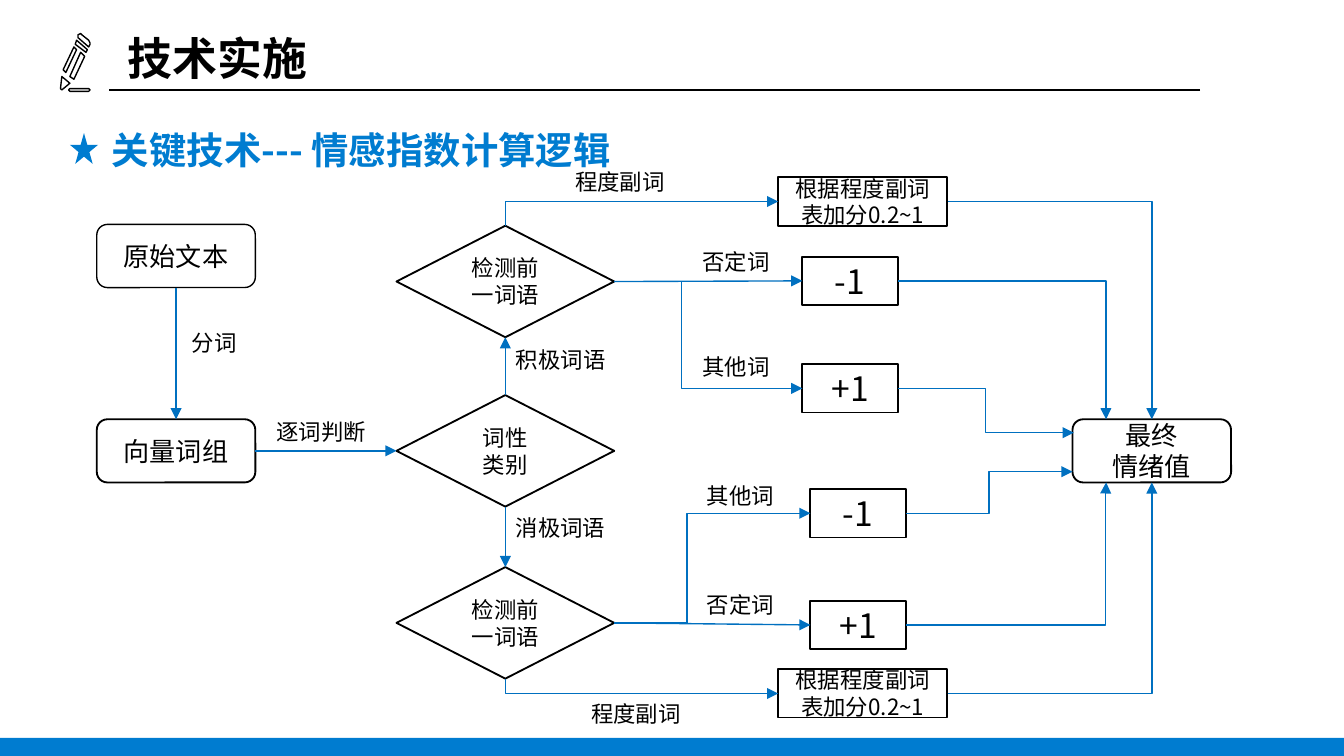
"""Build the flowchart slide on the sentiment index calculation."""
from lxml import etree
from pptx import Presentation
from pptx.dml.color import RGBColor
from pptx.enum.shapes import MSO_CONNECTOR, MSO_SHAPE
from pptx.enum.text import MSO_ANCHOR, MSO_AUTO_SIZE, PP_ALIGN
from pptx.oxml.ns import qn
from pptx.util import Inches, Pt

RECT, ROUND = MSO_SHAPE.RECTANGLE, MSO_SHAPE.ROUNDED_RECTANGLE
DECISION, STAR = MSO_SHAPE.FLOWCHART_DECISION, MSO_SHAPE.STAR_5_POINT
STRAIGHT, ELBOW = MSO_CONNECTOR.STRAIGHT, MSO_CONNECTOR.ELBOW
LEFT, CENTER = PP_ALIGN.LEFT, PP_ALIGN.CENTER
TOP_ANCHOR, MIDDLE = MSO_ANCHOR.TOP, MSO_ANCHOR.MIDDLE
FIT, NO_FIT = MSO_AUTO_SIZE.SHAPE_TO_FIT_TEXT, MSO_AUTO_SIZE.NONE

FONT = "Noto Sans CJK SC"
BLACK, WHITE, BLUE, ARROW = "000000", "FFFFFF", "007CD0", "0070C0"
WIDTH = 10
HEIGHT = WIDTH * 9 / 16
TOP, LEFT_SIDE, BOTTOM, RIGHT = range(4)

KINDS = {
    "source": dict(preset=ROUND, size=(1.18, 0.47), fill=None, points=14, weight=0.75),
    "state": dict(preset=ROUND, size=(1.18, 0.47), fill=None, points=14, weight=1),
    "check": dict(preset=DECISION, size=(1.62, 0.83), fill=WHITE, points=12, weight=1),
    "score": dict(preset=RECT, size=(0.71, 0.36), fill=WHITE, points=18, weight=1),
    "degree": dict(preset=RECT, size=(1.26, 0.36), fill=WHITE, points=12, weight=1),
}
COLUMNS = {"input": 0.72, "check": 2.95, "degree": 5.79, "upper": 5.97,
           "lower": 6.03, "result": 7.98}
NODES = {
    "source": ("source", "input", 1.67, "原始文本"),
    "vector": ("state", "input", 3.12, "向量词组"),
    "category": ("check", "check", 2.94, "词性\n类别"),
    "positive": ("check", "check", 1.68, "检测前一词语"),
    "negative": ("check", "check", 4.22, "检测前一词语"),
    "positive degree": ("degree", "degree", 1.32, "根据程度副词表加分0.2~1"),
    "positive negated": ("score", "upper", 1.91, "-1"),
    "positive other": ("score", "upper", 2.71, "+1"),
    "negative other": ("score", "lower", 3.64, "-1"),
    "negative negated": ("score", "lower", 4.47, "+1"),
    "negative degree": ("degree", "degree", 4.98, "根据程度副词表加分0.2~1"),
    "result": ("state", "result", 3.12, "最终\n情绪值"),
}
LINKS = [
    (("source", BOTTOM), ("vector", TOP), "straight"),
    (("vector", RIGHT), ("category", LEFT_SIDE), "straight"),
    (("category", TOP), ("positive", BOTTOM), "straight"),
    (("category", BOTTOM), ("negative", TOP), "straight"),
    (("positive", RIGHT), ("positive negated", LEFT_SIDE), "straight"),
    (("negative", RIGHT), ("negative negated", LEFT_SIDE), "straight"),
    (("positive", RIGHT), ("positive other", LEFT_SIDE), 35.7),
    (("negative", RIGHT), ("negative other", LEFT_SIDE), 37.1),
    (("positive", TOP), ("positive degree", LEFT_SIDE), "rise first"),
    (("negative", BOTTOM), ("negative degree", LEFT_SIDE), "rise first"),
    (("positive degree", RIGHT), ("result", TOP), "run first"),
    (("negative degree", RIGHT), ("result", BOTTOM), "run first"),
    (("positive other", RIGHT), (7.99, 3.22), 50),
    (("negative other", RIGHT), (7.98, 3.51), 50),
    (("positive negated", RIGHT), (8.23, 3.12), 99.9),
    (("negative negated", RIGHT), (8.23, 3.59), 99.8),
]
LABELS = [
    ("分词", 1.33, 2.4, 0.71), ("逐词判断", 1.96, 3.06, 1.22),
    ("积极词语", 3.74, 2.53, 0.95), ("消极词语", 3.74, 3.78, 1.3),
    ("程度副词", 4.18, 1.2, 0.95), ("程度副词", 4.3, 5.16, 0.95),
    ("否定词", 5.13, 1.8, 0.8), ("其他词", 5.13, 2.58, 0.8),
    ("其他词", 5.16, 3.54, 0.8), ("否定词", 5.16, 4.35, 0.8),
]
PENCIL = [
    [(52, 66), (66, 66), (67, 67), (66, 68), (52, 68), (51, 67)],
    [(52, 57), (60, 39), (63, 42), (55, 59)],
    [(47, 52), (55, 35), (57, 37), (49, 54)],
    [(45, 66), (46, 57), (52, 62), (46, 67)],
    [(57, 30), (56, 33), (64, 39), (65, 37)],
    [(58, 26), (59.5, 25), (61, 26), (66, 30), (67, 31.5), (67, 33),
     (66, 35), (58, 28)],
]


def color(value):
    return RGBColor.from_string(value)


def write(shape, text, size=12, ink=BLACK, bold=False, align=CENTER,
          anchor=MIDDLE, wrap=True, fit=NO_FIT):
    frame = shape.text_frame
    frame.word_wrap, frame.auto_size = wrap, fit
    frame.vertical_anchor = anchor
    frame.text = text
    for paragraph in frame.paragraphs:
        paragraph.alignment = align
        for run in paragraph.runs:
            run.font.size, run.font.bold, run.font.name = Pt(size), bold, FONT
            run.font.color.rgb = color(ink)
            east = etree.SubElement(run.font._element, qn("a:ea"))
            east.set("typeface", FONT)


def paint(shape, fill=None, edge=None, weight=1):
    shape.shadow.inherit = False
    if fill:
        shape.fill.solid()
        shape.fill.fore_color.rgb = color(fill)
    else:
        shape.fill.background()
    if edge:
        shape.line.color.rgb = color(edge)
        shape.line.width = Pt(weight)
    else:
        shape.line.fill.background()


def block(slide, preset, box, **look):
    shape = slide.shapes.add_shape(preset, *map(Inches, box))
    paint(shape, **look)
    return shape


def connect(slide, kind, start, end, ink, arrow=False):
    line = slide.shapes.add_connector(kind, *map(Inches, start + end))
    line.line.color.rgb = color(ink)
    line.line.width = Pt(0.75)
    if arrow:
        etree.SubElement(line.get_or_add_ln(), qn("a:tailEnd"), type="triangle")
    etree.SubElement(line._element.spPr, qn("a:effectLst"))
    return line


def turn_upright(line):
    run, rise = line.end_x - line.begin_x, line.end_y - line.begin_y
    center_x, center_y = line.begin_x + run // 2, line.begin_y + rise // 2
    line.width, line.height = abs(rise), run
    line.left, line.top = center_x - abs(rise) // 2, center_y - run // 2
    frame = line._element.spPr.xfrm
    frame.rot = 90 if rise < 0 else 270
    frame.flipH, frame.flipV = True, rise < 0


def link(slide, nodes, start, end, route):
    kind = STRAIGHT if route == "straight" else ELBOW
    line = connect(slide, kind, (0, 0), (0, 0), ARROW, arrow=True)
    line.begin_connect(nodes[start[0]], start[1])
    if end[0] in nodes:
        line.end_connect(nodes[end[0]], end[1])
    else:
        line.end_x, line.end_y = map(Inches, end)
    geometry = line._element.spPr.prstGeom
    if route in ("run first", "rise first"):
        geometry.set("prst", "bentConnector2")
    elif route != "straight":
        etree.SubElement(geometry.get_or_add_avLst(), qn("a:gd"), name="adj1",
                         fmla=f"val {round(route * 1000)}")
    if route == "rise first":
        turn_upright(line)


def draw_pencil(slide):
    builder = slide.shapes.build_freeform(*PENCIL[0][0], scale=Inches(1) / 100)
    for contour in PENCIL:
        builder.move_to(*contour[0])
        builder.add_line_segments(contour[1:], close=True)
    paint(builder.convert_to_shape(), fill=WHITE, edge=BLACK, weight=0.75)


def main():
    deck = Presentation()
    deck.slide_width, deck.slide_height = Inches(WIDTH), Inches(HEIGHT)
    slide = deck.slides.add_slide(deck.slide_layouts[5])

    block(slide, RECT, (0, 5.49, WIDTH, HEIGHT - 5.49), fill=BLUE)
    title = slide.shapes.title
    title.left, title.top, title.width, title.height = map(Inches, (0.85, 0.18, 1.55, 0.5))
    write(title, "技术实施", size=24, bold=True, align=LEFT, anchor=TOP_ANCHOR,
          wrap=False, fit=FIT)
    draw_pencil(slide)
    connect(slide, STRAIGHT, (8.93, 0.67), (0.81, 0.67), BLACK)

    heading = block(slide, RECT, (0.52, 0.89, 4.4, 0.45), fill=WHITE, edge=WHITE, weight=2)
    write(heading, "关键技术--- 情感指数计算逻辑 ", size=20, ink=BLUE, bold=True)
    block(slide, STAR, (0.52, 0.99, 0.21, 0.23), fill=BLUE)

    nodes = {}
    for name, (kind, column, top, text) in NODES.items():
        style = KINDS[kind]
        box = (COLUMNS[column], top, *style["size"])
        nodes[name] = block(slide, style["preset"], box, fill=style["fill"],
                            edge=BLACK, weight=style["weight"])
        write(nodes[name], text, size=style["points"])
    for start, end, route in LINKS:
        link(slide, nodes, start, end, route)
    for text, left, top, width in LABELS:
        label = slide.shapes.add_textbox(*map(Inches, (left, top, width, 0.3)))
        write(label, text, align=LEFT, anchor=TOP_ANCHOR, fit=FIT)
    deck.save("out.pptx")


if __name__ == "__main__":
    main()
